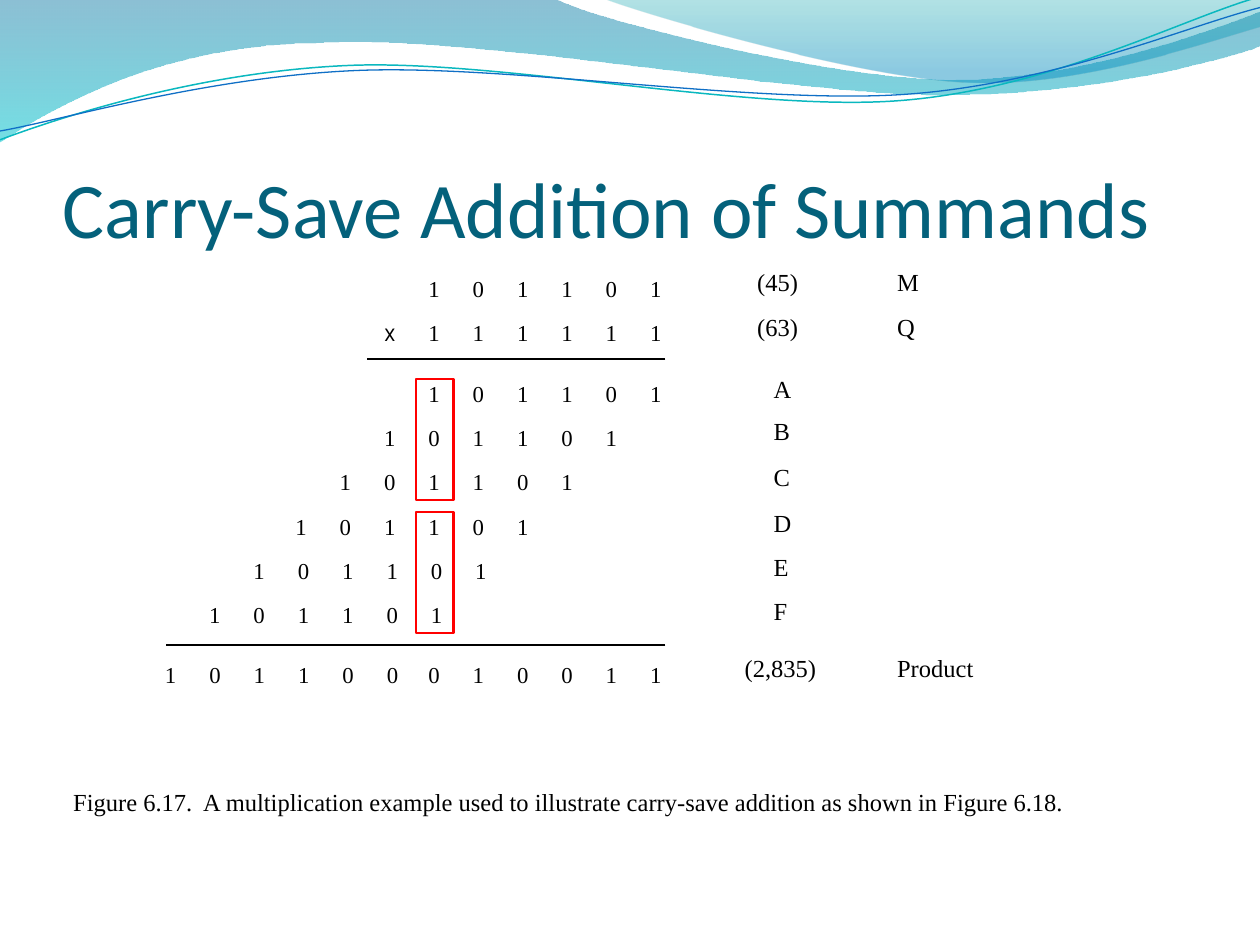
from dataclasses import dataclass

from lxml import etree
from pptx import Presentation
from pptx.dml.color import RGBColor
from pptx.enum import shapes, text
from pptx.oxml import ns, parse_xml
from pptx.util import Inches, Pt


@dataclass(frozen=True)
class Theme:
    title: str = "04617B"
    ink: str = "000000"
    highlight: str = "FF0000"
    teal: str = "0AB8BF"
    blue: str = "0F6FC6"
    title_font: str = "Calibri"
    body_font: str = "Times New Roman"
    sign_font: str = "Roboto"
    title_size: float = 45
    label_size: float = 14
    digit_size: float = 13
    sign_size: float = 10
    rule_width: float = 1.38


THEME = Theme()
PITCH = Inches(1.76) / 5  # spacing of digit columns and of summand rows

# Each curve is a start point followed by cubic segments; a pair is a straight segment.
BAND = [(0, -0.01), (4.4, -0.01),
        (4.76, 0.17, 6.64, 0.63, 7.58, 0.63), (8.53, 0.63, 9.58, 0.26, 10, 0.09),
        (10.01, 0.36),
        (9.83, 0.44, 8.7, 0.76, 7.46, 0.75), (6.22, 0.75, 3.82, 0.28, 2.57, 0.34),
        (1.29, 0.35, 0.46, 0.83, -0.01, 1.13), (0, -0.01)]
CREST = [(4.79, -0.01), (5.09, 0.11, 6.82, 0.62, 7.69, 0.65),
         (8.56, 0.69, 9.61, 0.32, 10, 0.21), (10, 0), (4.79, -0.01)]
TEAL_WAVE = [(0, 1.11), (0.48, 0.93, 1.58, 0.57, 2.77, 0.52),
             (3.95, 0.47, 5.93, 0.89, 7.13, 0.8), (8.33, 0.71, 9.38, 0.15, 9.98, -0.02)]
BLUE_WAVE = [(0, 1.04), (0.47, 0.96, 1.64, 0.61, 2.83, 0.56),
             (4.03, 0.51, 5.97, 0.83, 7.17, 0.75), (8.36, 0.67, 9.41, 0.21, 10, 0.06)]


def add_curve(slide, left, top, curve, closed):
    """Build the outline through its control points, then join them into cubic segments."""
    points = [(left + Inches(x), top + Inches(y))
              for segment in curve for x, y in zip(segment[::2], segment[1::2])]
    builder = slide.shapes.build_freeform(*points[0], scale=1.0)
    builder.add_line_segments(points[1:], close=closed)
    shape = builder.convert_to_shape()
    shape.shadow.inherit = False

    lines = iter(list(shape.element.iter(ns.qn("a:lnTo"))))
    for segment in curve[1:]:
        first = next(lines)
        if len(segment) == 6:
            first.tag = ns.qn("a:cubicBezTo")
            for _ in range(2):
                line = next(lines)
                first.append(line[0])
                line.getparent().remove(line)
    return shape


def fill_gradient(shape, stops):
    """Fill from top to bottom; each stop is position, colour and opacity in percent."""
    stop_xml = "".join(
        f'<a:gs pos="{position * 1000}"><a:srgbClr val="{color}">'
        f'<a:alpha val="{opacity * 1000}"/></a:srgbClr></a:gs>'
        for position, color, opacity in stops)
    gradient = parse_xml(f'<a:gradFill {ns.nsdecls("a")} rotWithShape="1">'
                         f'<a:gsLst>{stop_xml}</a:gsLst>'
                         '<a:lin ang="5400000" scaled="0"/></a:gradFill>')
    shape.fill.background()
    properties = shape.element.spPr
    properties.replace(properties.find(ns.qn("a:noFill")), gradient)
    shape.line.fill.background()


def set_line(shape, color, width):
    shape.line.color.rgb = RGBColor.from_string(color)
    shape.line.width = Pt(width)


def add_text(slide, left, top, width, height, words, size, font=THEME.body_font,
             color=THEME.ink, align=text.PP_ALIGN.LEFT):
    box = slide.shapes.add_textbox(int(left), int(top), width, height)
    frame = box.text_frame
    frame.margin_left = frame.margin_right = frame.margin_top = frame.margin_bottom = 0
    frame.word_wrap = False
    frame.auto_size = text.MSO_AUTO_SIZE.SHAPE_TO_FIT_TEXT
    paragraph = frame.paragraphs[0]
    paragraph.text = words
    paragraph.alignment = align
    paragraph.font.name = font
    paragraph.font.size = Pt(size)
    paragraph.font.color.rgb = RGBColor.from_string(color)
    return frame


def add_waves(slide, left, top):
    fill_gradient(add_curve(slide, left, top, BAND, True),
                  [(0, "0074A1", 45), (100, "00C6CF", 55)])
    fill_gradient(add_curve(slide, left, top, CREST, True),
                  [(0, "00A1A9", 30), (80, "008BBF", 45)])
    for curve, color, width in ((TEAL_WAVE, THEME.teal, 0.85), (BLUE_WAVE, THEME.blue, 0.75)):
        wave = add_curve(slide, left, top, curve, False)
        wave.fill.background()
        set_line(wave, color, width)


def add_title(slide, left, top, width, height):
    frame = add_text(slide, left, top, width, height, "Carry-Save Addition of Summands",
                     THEME.title_size, THEME.title_font, THEME.title)
    frame.auto_size = text.MSO_AUTO_SIZE.NONE
    frame.word_wrap = True
    frame.margin_top = Inches(0.05)
    frame.vertical_anchor = text.MSO_ANCHOR.BOTTOM


def add_digits(slide, last_left, top, digits):
    """Write one digit per column, ending at last_left."""
    for column, digit in enumerate(reversed(digits)):
        add_text(slide, last_left - column * PITCH, top, Inches(0.1), Inches(0.22),
                 digit, THEME.digit_size)


def add_rule(slide, right, left, y):
    rule = slide.shapes.add_connector(shapes.MSO_CONNECTOR.STRAIGHT, right, y, left, y)
    set_line(rule, THEME.ink, THEME.rule_width)
    etree.SubElement(rule.element.spPr, ns.qn("a:effectLst"))


def add_multiplication(slide, left, top):
    last = left + Inches(3.86)
    add_digits(slide, last, top, "101101")
    add_digits(slide, last, top + PITCH, "111111")
    add_text(slide, left + Inches(1.75), top + Inches(0.39), Inches(0.09), Inches(0.17),
             "X", THEME.sign_size, THEME.sign_font)

    summands_top = top + Inches(0.83)
    for row in range(6):
        nudge = Inches(0.02) if row >= 4 else 0
        add_digits(slide, last - row * PITCH + nudge, summands_top + row * PITCH, "101101")

    product_top = top + Inches(3.06)
    add_digits(slide, left + Inches(1.77), product_top, "101100")
    add_digits(slide, last, product_top, "010011")

    right = left + Inches(3.98)
    add_rule(slide, right, left + Inches(1.61), top + Inches(0.67))
    add_rule(slide, right, left + Inches(0.02), top + Inches(2.94))

    for group in range(2):
        frame = slide.shapes.add_shape(
            shapes.MSO_SHAPE.RECTANGLE, left + Inches(2),
            int(summands_top + group * 3 * PITCH), Inches(0.3), Inches(0.96))
        frame.shadow.inherit = False
        frame.fill.background()
        set_line(frame, THEME.highlight, THEME.rule_width)


def add_labels(slide, left, top):
    labels = [("(45)", 0.1, 0, 0.34), ("M", 1.21, 0, 0.16),
              ("(63)", 0.1, 0.36, 0.34), ("Q", 1.21, 0.36, 0.15),
              ("(2,835)", 0, 3.06, 0.61), ("Product", 1.21, 3.06, 0.67)]
    summand_tops = (0.85, 1.18, 1.55, 1.91, 2.26, 2.61)
    labels += [(name, 0.23, y, 0.13) for name, y in zip("ABCDEF", summand_tops)]
    for words, x, y, width in labels:
        add_text(slide, left + Inches(x), top + Inches(y), Inches(width), Inches(0.23),
                 words, THEME.label_size)


def add_caption(slide, left, top, width, height):
    add_text(slide, left, top, width, height,
             "Figure 6.17.  A multiplication example used to illustrate "
             "carry-save addition as shown in Figure 6.18.",
             THEME.label_size, align=text.PP_ALIGN.CENTER)


def main():
    presentation = Presentation()
    presentation.slide_width = Inches(10)
    presentation.slide_height = Inches(7.5)
    slide = presentation.slides.add_slide(presentation.slide_layouts[6])
    add_waves(slide, 0, 0)
    add_title(slide, Inches(0.5), Inches(0.77), Inches(9), Inches(1.25))
    add_multiplication(slide, Inches(1.3), Inches(2.18))
    add_labels(slide, Inches(5.91), Inches(2.12))
    add_caption(slide, Inches(0.24), Inches(6.25), Inches(8.55), Inches(0.23))
    presentation.save("out.pptx")


if __name__ == "__main__":
    main()
